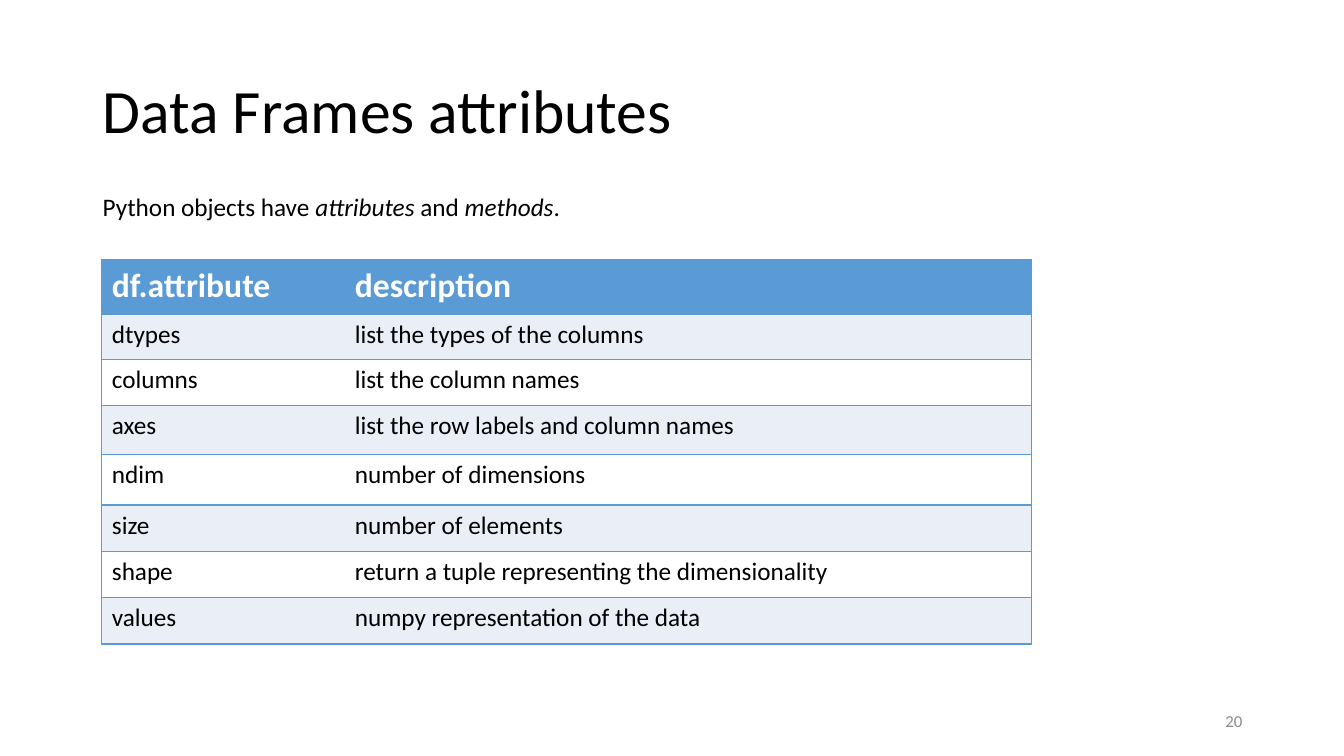
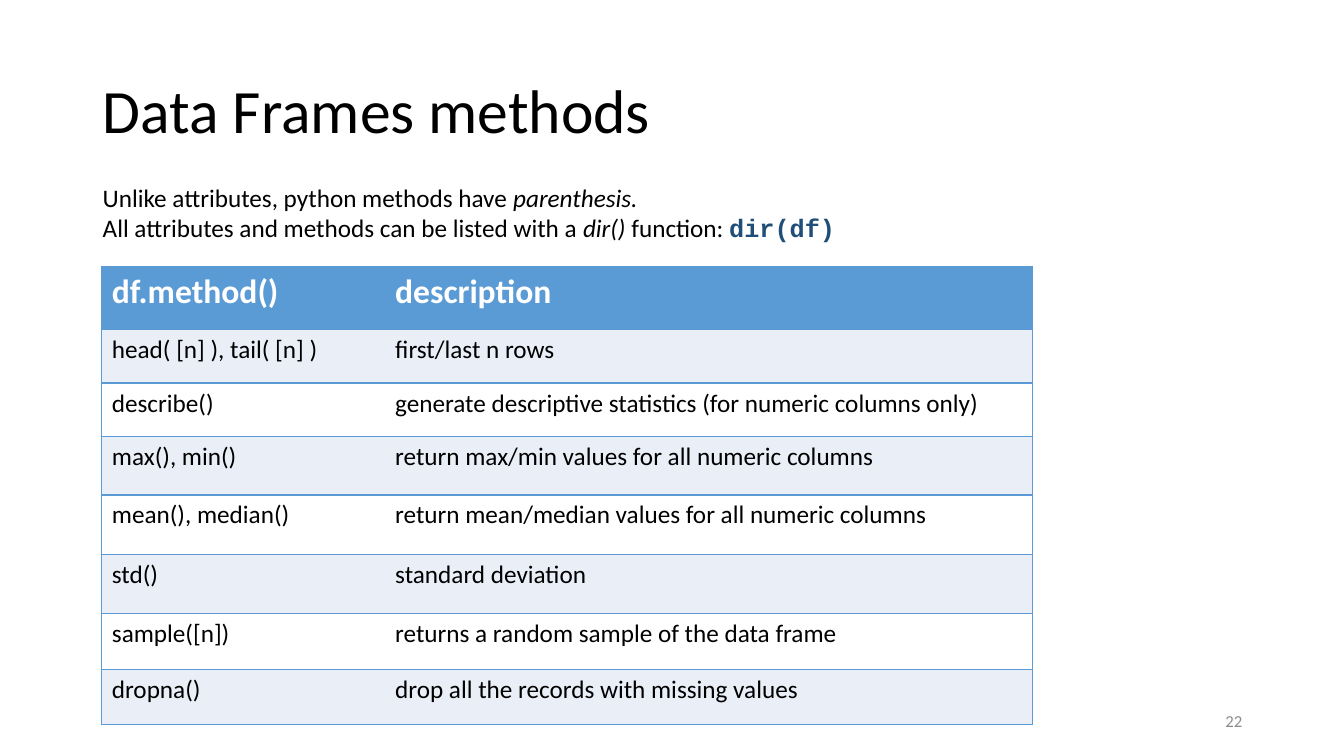
from lxml import etree
from pptx import Presentation
from pptx.dml.color import RGBColor
from pptx.enum.text import MSO_ANCHOR, PP_ALIGN
from pptx.oxml.ns import qn
from pptx.util import Inches, Pt

MIDDLE, TOP = MSO_ANCHOR.MIDDLE, MSO_ANCHOR.TOP
LEFT, RIGHT = PP_ALIGN.LEFT, PP_ALIGN.RIGHT
COLORS = {
    "text": "000000",
    "white": "FFFFFF",
    "blue": "5B9BD5",
    "band": "EAEFF7",
    "gray": "8C8C8C",
    "code": "1F4E79",
}


class Deck:
    font = "Calibri"
    mono = "Courier New"

    def __init__(self):
        self.prs = Presentation()
        self.prs.slide_width = Inches(13.33)
        self.prs.slide_height = Inches(7.5)
        self.slide = None

    def color(self, name):
        return RGBColor.from_string(COLORS[name])

    def start(self, title, number):
        self.slide = self.prs.slides.add_slide(self.prs.slide_layouts[6])
        back = self.slide.background.fill
        back.solid()
        back.fore_color.rgb = self.color("white")
        self.text((0.92, 0.4, 11.5, 1.45), [[(title, "")]], size=44,
                  anchor=MIDDLE, space=0.9)
        self.text((9.42, 6.95, 3, 0.4), [[(number, "")]], size=12,
                  color="gray", anchor=MIDDLE, align=RIGHT)

    def run(self, para, text, size, color="text", style=""):
        run = para.add_run()
        run.text = text
        font = run.font
        font.size = Pt(size)
        font.italic = style == "italic"
        font.bold = style in ("bold", "code")
        font.name = self.mono if style == "code" else self.font
        font.color.rgb = self.color("code" if style == "code" else color)

    def text(self, area, lines, size=18, color="text", anchor=TOP,
             align=LEFT, space=1.0):
        box = self.slide.shapes.add_textbox(*map(Inches, area))
        frame = box.text_frame
        frame.word_wrap = True
        frame.vertical_anchor = anchor
        for index, line in enumerate(lines):
            para = frame.paragraphs[0] if index == 0 else frame.add_paragraph()
            para.alignment = align
            para.line_spacing = space
            for words, style in line:
                self.run(para, words, size, color, style)

    def border(self, cell, sides):
        props = cell._tc.get_or_add_tcPr()
        for index, side in enumerate("LRTB"):
            line = etree.Element(qn("a:ln" + side), w=str(Pt(1)))
            if side in sides:
                fill = etree.SubElement(line, qn("a:solidFill"))
                etree.SubElement(fill, qn("a:srgbClr"), val=COLORS["blue"])
            else:
                etree.SubElement(line, qn("a:noFill"))
            props.insert(index, line)

    def table(self, top, widths, heights, rows):
        frame = self.slide.shapes.add_table(
            len(rows), len(widths), Inches(1.01), Inches(top),
            Inches(sum(widths)), Inches(sum(heights)))
        table = frame.table
        table.horz_banding = False
        for col, width in zip(table.columns, widths):
            col.width = Inches(width)
        for row, height in zip(table.rows, heights):
            row.height = Inches(height)
        for r, row in enumerate(rows):
            head = r == 0
            shade = "blue" if head else "band" if r % 2 else "white"
            for c, words in enumerate(row):
                cell = table.cell(r, c)
                cell.fill.solid()
                cell.fill.fore_color.rgb = self.color(shade)
                self.border(cell, "LTB" if c == 0 else "RTB")
                self.run(cell.text_frame.paragraphs[0], words,
                         24 if head else 18, "white" if head else "text",
                         "bold" if head else "")


deck = Deck()

deck.start("Data Frames attributes", "20")
deck.text((0.92, 1.85, 8.19, 0.4), [[
    ("Python objects have ", ""), ("attributes", "italic"),
    (" and ", ""), ("methods", "italic"), (".", "")]])
deck.table(2.58, [2.41, 6.81],
           [0.54, 0.45, 0.45, 0.49, 0.5, 0.46, 0.46, 0.46], [
    ("df.attribute", "description"),
    ("dtypes", "list the types of the columns"),
    ("columns", "list the column names"),
    ("axes", "list the row labels and column names"),
    ("ndim", "number of dimensions"),
    ("size", "number of elements "),
    ("shape", "return a tuple representing the dimensionality "),
    ("values", "numpy representation of the data"),
])

deck.start("Data Frames methods", "22")
deck.table(2.64, [2.81, 6.42],
           [0.63, 0.53, 0.53, 0.58, 0.59, 0.59, 0.55, 0.55], [
    ("df.method()", "description"),
    ("head( [n] ), tail( [n] )", "first/last n rows"),
    ("describe()", "generate descriptive statistics (for numeric columns only)"),
    ("max(), min()", "return max/min values for all numeric columns"),
    ("mean(), median()", "return mean/median values for all numeric columns"),
    ("std()", "standard deviation"),
    ("sample([n])", "returns a random sample of the data frame"),
    ("dropna()", "drop all the records with missing values"),
])
deck.text((0.92, 1.76, 8.19, 0.71), [
    [("Unlike attributes, python methods have ", ""),
     ("parenthesis.", "italic")],
    [("All attributes and methods can be listed with a ", ""),
     ("dir() ", "italic"), ("function: ", ""), ("dir(df)", "code")],
])

deck.prs.save("out.pptx")
